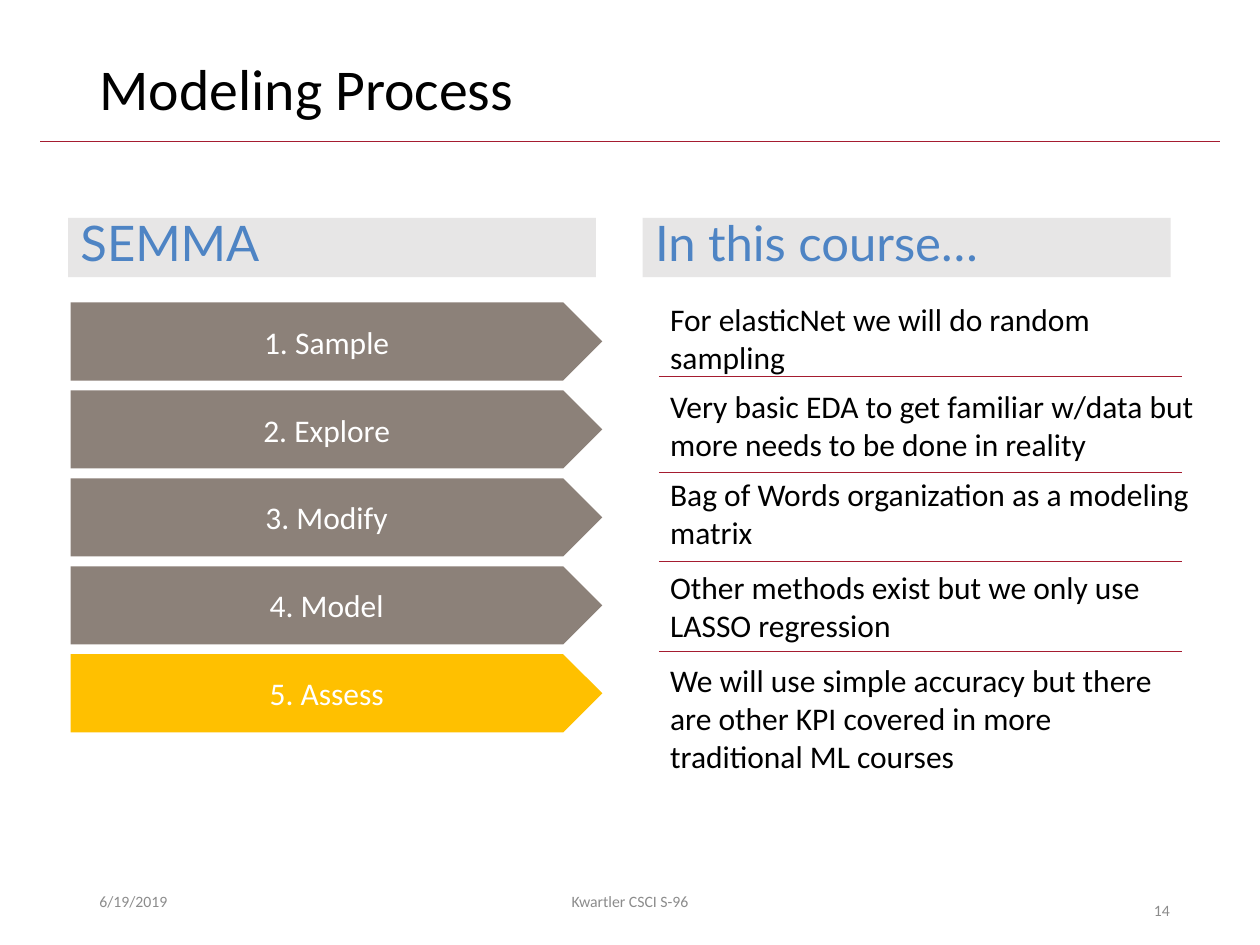
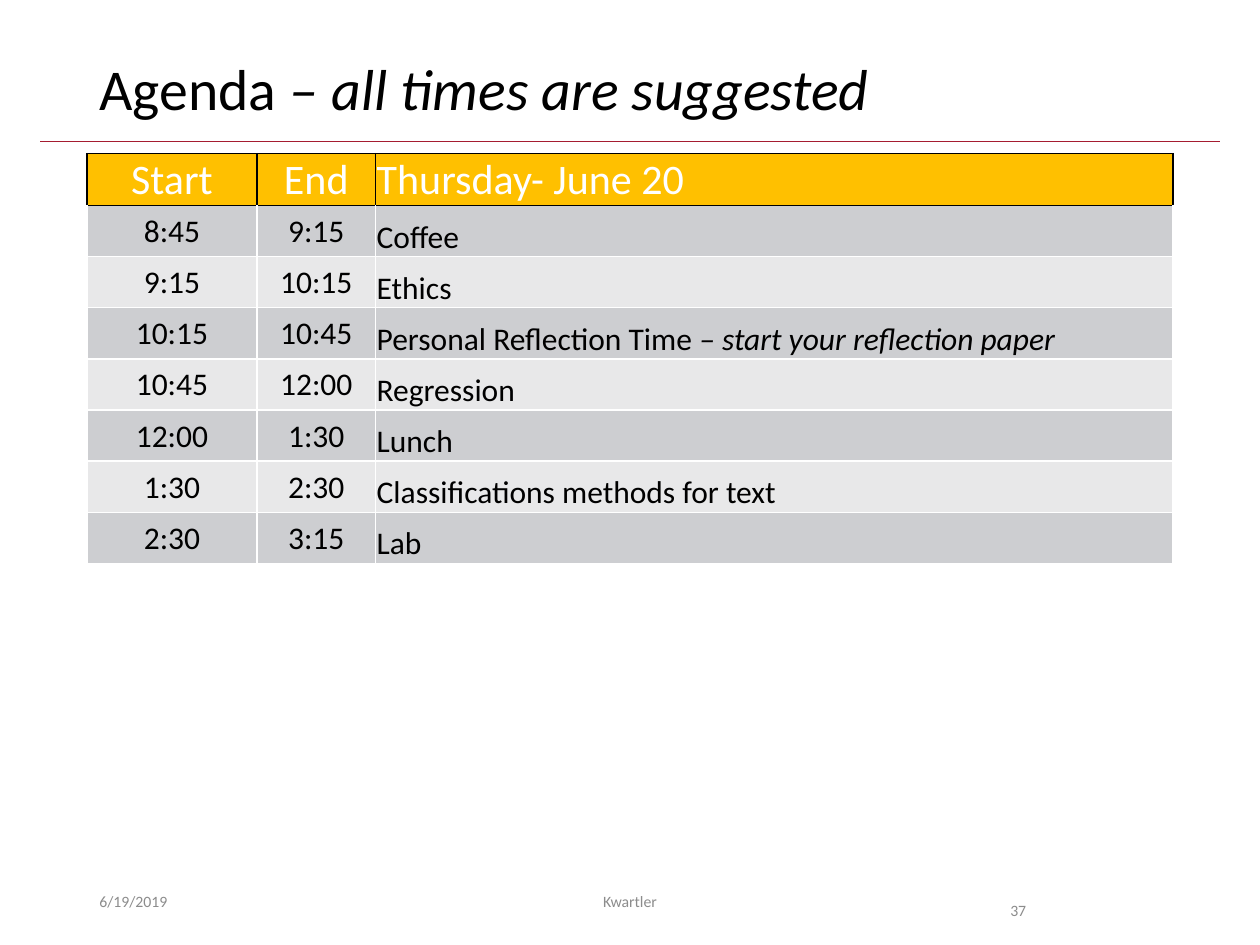
from dataclasses import dataclass

from lxml import etree
from pptx import Presentation
from pptx import util as u
from pptx.dml.color import RGBColor
from pptx.enum import shapes, text
from pptx.oxml.ns import qn

COLORS = {
    "black": "000000", "white": "FFFFFF", "crimson": "A51C30", "taupe": "8C8179",
    "gold": "FFC000", "pale": "E7E6E6", "blue": "4E84C4", "muted": "8C8C8C",
    "band_dark": "CDCED1", "band_light": "E8E8E9",
}
FONT, HEADING_FONT = "Calibri", "Lato"
COLUMNS, ROWS = 100, 75
CELL = u.Inches(0.1)
LEFT, CENTER = text.PP_ALIGN.LEFT, text.PP_ALIGN.CENTER
TOP, MIDDLE, BOTTOM = text.MSO_ANCHOR.TOP, text.MSO_ANCHOR.MIDDLE, text.MSO_ANCHOR.BOTTOM


@dataclass(frozen=True)
class Box:
    """A place on the slide grid, in columns and rows."""
    col: float
    row: float
    cols: float
    rows: float

    def emu(self) -> tuple:
        return grid(self.col), grid(self.row), grid(self.cols), grid(self.rows)


@dataclass(frozen=True)
class Style:
    size: float
    color: str = "black"
    font: str = FONT
    align: text.PP_ALIGN = LEFT
    anchor: text.MSO_ANCHOR = TOP
    spacing: float = 1.0
    before: float = 0


@dataclass(frozen=True)
class Step:
    name: str
    practice: str
    row: float
    cols: float = 41.8
    color: str = "taupe"


@dataclass(frozen=True)
class Session:
    start: str
    end: str
    topic: str
    aside: str = ""


TITLE = Style(33, anchor=MIDDLE, spacing=0.9)
FOOTER = Style(9, "muted", anchor=MIDDLE)
FOOTER_CENTER = Style(9, "muted", align=CENTER, anchor=MIDDLE)
PAGE_NUMBER = Style(9, "muted", spacing=2.0)
HEADING = Style(28, "blue", HEADING_FONT, spacing=0.8, before=7.5)
ARROW = Style(18, "white", align=CENTER, anchor=MIDDLE)
BODY = Style(18)
TABLE_TIME = Style(18, align=CENTER, anchor=MIDDLE)
TABLE_TOPIC = Style(18, anchor=BOTTOM)
HEADER_TIME = Style(24, "white", align=CENTER, anchor=MIDDLE)
HEADER_TOPIC = Style(24, "white", anchor=MIDDLE)

STEPS = [
    Step("1. Sample", "For elasticNet we will do random sampling", 23.3),
    Step("2. Explore", "Very basic EDA to get familiar w/data but more needs to be "
         "done in reality", 30.2, 47.8),
    Step("3. Modify", "Bag of Words organization as a modeling matrix", 37.2, 45.5),
    Step("4. Model", "Other methods exist but we only use LASSO regression", 44.6),
    Step("5. Assess", "We will use simple accuracy but there are other KPI covered in "
         "more traditional ML courses", 52, color="gold"),
]
DIVIDER_ROWS = [29.9, 37.5, 44.6, 51.7]

AGENDA = [
    Session("Start", "End", "Thursday- June 20"),
    Session("8:45", "9:15", "Coffee"),
    Session("9:15", "10:15", "Ethics"),
    Session("10:15", "10:45", "Personal Reflection Time ", "– start your reflection paper"),
    Session("10:45", "12:00", "Regression"),
    Session("12:00", "1:30", "Lunch"),
    Session("1:30", "2:30", "Classifications methods for text"),
    Session("2:30", "3:15", "Lab"),
]


def grid(n: float) -> int:
    return round(n * CELL)


def rgb(name: str) -> RGBColor:
    return RGBColor.from_string(COLORS[name])


def write(tf, style: Style, words: str, aside: str = "") -> None:
    """Fill a text frame with one paragraph; the aside is set in italics."""
    tf.word_wrap = True
    tf.vertical_anchor = style.anchor
    p = tf.paragraphs[0]
    p.alignment, p.line_spacing = style.align, style.spacing
    p.space_before = u.Pt(style.before)
    f = p.font
    f.name, f.size, f.bold = style.font, u.Pt(style.size), False
    f.color.rgb = rgb(style.color)
    p.add_run().text = words
    if aside:
        r = p.add_run()
        r.text = aside
        r.font.italic = True


def add_text(s, box: Box, style: Style, words: str):
    sp = s.shapes.add_textbox(*box.emu())
    write(sp.text_frame, style, words)
    return sp


def add_block(s, kind, box: Box, fill: str, style: Style, words: str) -> None:
    sp = s.shapes.add_shape(kind, *box.emu())
    sp.shadow.inherit = False
    sp.fill.solid()
    sp.fill.fore_color.rgb = rgb(fill)
    sp.line.fill.background()
    write(sp.text_frame, style, words)


def add_rule(s, col: float, end_col: float, row: float) -> None:
    line = s.shapes.add_connector(shapes.MSO_CONNECTOR.STRAIGHT,
                                  grid(col), grid(row), grid(end_col), grid(row))
    line.line.color.rgb = rgb("crimson")
    line.line.width = u.Pt(0.5)
    etree.SubElement(line._element.spPr, qn("a:effectLst"))


def add_slide(prs, title: str, aside: str, footer: str, page: str, page_col: float):
    """Start a slide with the shared title, rule and footer line."""
    s = prs.slides.add_slide(prs.slide_layouts[5])
    sp = s.shapes.title
    sp.left, sp.top, sp.width, sp.height = Box(6.9, 4, 86.2, 6.5).emu()
    write(sp.text_frame, TITLE, title, aside)
    sp.text_frame.auto_size = text.MSO_AUTO_SIZE.NONE
    add_rule(s, 3.2, COLUMNS - 3.2, 11.2)
    add_text(s, Box(6.9, 69.5, 22.5, 4), FOOTER, "6/19/2019")
    add_text(s, Box(33.1, 69.5, 33.8, 4), FOOTER_CENTER, footer)
    add_text(s, Box(page_col, 69.5, 9.4, 4), PAGE_NUMBER, page)
    return s


def set_borders(cell, **sides: str) -> None:
    """Draw 1 pt borders; sides L, R, T and B each name a colour."""
    tc_pr = cell._tc.get_or_add_tcPr()
    for i, side in enumerate("LRTB"):
        ln = etree.Element(qn(f"a:ln{side}"), w=str(u.Pt(1)))
        fill = etree.SubElement(ln, qn("a:solidFill"))
        etree.SubElement(fill, qn("a:srgbClr"), val=COLORS[sides[side]])
        tc_pr.insert(i, ln)


def build_process(prs) -> None:
    s = add_slide(prs, "Modeling Process", "", "Kwartler CSCI S-96", "14", 90.6)
    kinds = shapes.MSO_SHAPE
    for col, heading in ((5.4, "SEMMA"), (51, "In this course…")):
        add_block(s, kinds.RECTANGLE, Box(col, 17.3, 41.9, 4.7), "pale", HEADING, heading)
    for i, step in enumerate(STEPS):
        add_block(s, kinds.PENTAGON, Box(5.6, 24 + 6.98 * i, 42.2, 6.2),
                  step.color, ARROW, step.name)
        sp = add_text(s, Box(52.2, step.row, step.cols, 7.1), BODY, step.practice)
        sp.text_frame.auto_size = text.MSO_AUTO_SIZE.SHAPE_TO_FIT_TEXT
    for row in DIVIDER_ROWS:
        add_rule(s, 52.3, 93.8, row)


def build_agenda(prs) -> None:
    s = add_slide(prs, "Agenda ", "– all times are suggested", "Kwartler", "37", 79.2)
    box = Box(6.9, 12.2, 86.3, 32.5)
    table = s.shapes.add_table(len(AGENDA), 3, *box.emu()).table
    for column, cols in zip(table.columns, (13.5, 9.4, 63.3)):
        column.width = grid(cols)
    for i, session in enumerate(AGENDA):
        table.rows[i].height = grid(box.rows / len(AGENDA))
        header = i == 0
        fill = "gold" if header else "band_dark" if i % 2 else "band_light"
        time, topic = (HEADER_TIME, HEADER_TOPIC) if header else (TABLE_TIME, TABLE_TOPIC)
        edge = "black" if header else "white"
        entries = ((time, session.start), (time, session.end),
                   (topic, session.topic, session.aside))
        for cell, (style, *words) in zip(table.rows[i].cells, entries):
            cell.fill.solid()
            cell.fill.fore_color.rgb = rgb(fill)
            cell.margin_left = cell.margin_right = cell.margin_top = u.Inches(0.01)
            cell.margin_bottom = 0
            write(cell.text_frame, style, *words)
            cell.vertical_anchor = style.anchor
            set_borders(cell, L=edge, R=edge, B=edge, T="black" if i < 2 else "white")


def main() -> None:
    prs = Presentation()
    prs.slide_width, prs.slide_height = grid(COLUMNS), grid(ROWS)
    build_process(prs)
    build_agenda(prs)
    prs.save("out.pptx")


if __name__ == "__main__":
    main()
